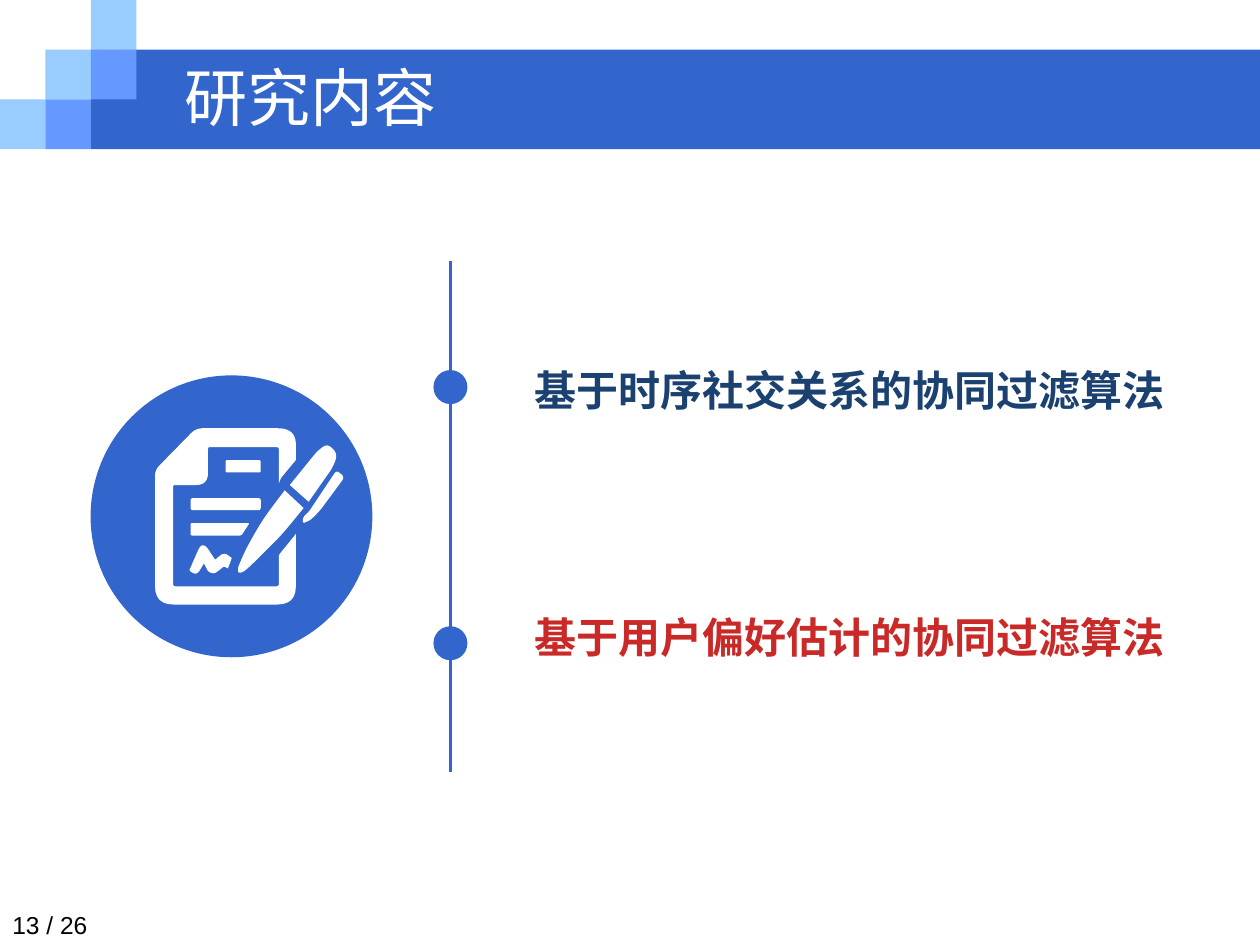
from lxml.etree import SubElement
from pptx import Presentation
from pptx.dml.color import RGBColor
from pptx.enum.shapes import MSO_CONNECTOR, MSO_SHAPE
from pptx.enum.text import MSO_ANCHOR
from pptx.oxml.ns import qn
from pptx.util import Pt

COLORS = {
    "blue": "3366CC", "sky": "99CCFF", "mid": "6699FF", "white": "FFFFFF",
    "black": "000000", "navy": "1B4171", "red": "C92927",
}
CJK = "Noto Sans CJK SC"


def color(name):
    return RGBColor.from_string(COLORS[name])


def rounded_outline(corners, steps=6):
    """Turn (x, y, radius) corners into points, bending each corner."""
    points = []
    for i, (x, y, radius) in enumerate(corners):
        if not radius:
            points.append((x, y))
            continue
        ends = []
        for near_x, near_y, _ in (corners[i - 1], corners[(i + 1) % len(corners)]):
            dx, dy = near_x - x, near_y - y
            length = (dx * dx + dy * dy) ** 0.5
            share = min(radius / length, 0.5)
            ends.append((x + dx * share, y + dy * share))
        (ax, ay), (bx, by) = ends
        for step in range(steps + 1):
            t = step / steps
            a, m, b = (1 - t) ** 2, 2 * t * (1 - t), t * t
            points.append((a * ax + m * x + b * bx, a * ay + m * y + b * by))
    return points


def bar(left, top, right, bottom, radius=1.5, slant=0):
    return [(left, top, radius), (right, top, radius),
            (right - slant, bottom, radius), (left, bottom, radius)]


class SlideBuilder:
    def __init__(self, deck):
        self.page = deck.slides.add_slide(deck.slide_layouts[6])

    def paint(self, shape, fill, line_width=0):
        shape.shadow.inherit = False
        shape.fill.solid()
        shape.fill.fore_color.rgb = color(fill)
        if line_width:
            shape.line.color.rgb = color(fill)
            shape.line.width = Pt(line_width)
        else:
            shape.line.fill.background()

    def shape(self, kind, left, top, width, height, fill, line_width=0):
        shape = self.page.shapes.add_shape(
            kind, Pt(left), Pt(top), Pt(width), Pt(height))
        self.paint(shape, fill, line_width)

    def circle(self, x, y, diameter, fill, line_width=0):
        self.shape(MSO_SHAPE.OVAL, x - diameter / 2, y - diameter / 2,
                   diameter, diameter, fill, line_width)

    def line(self, x1, y1, x2, y2, stroke, width):
        line = self.page.shapes.add_connector(
            MSO_CONNECTOR.STRAIGHT, Pt(x1), Pt(y1), Pt(x2), Pt(y2))
        line.line.color.rgb = color(stroke)
        line.line.width = Pt(width)
        SubElement(line._element.spPr, qn("a:effectLst"))

    def icon(self, parts, fill):
        group = self.page.shapes.add_group_shape()
        for corners in parts:
            points = [(Pt(x), Pt(y)) for x, y in rounded_outline(corners)]
            outline = group.shapes.build_freeform(*points[0])
            outline.add_line_segments(points[1:], close=True)
            self.paint(outline.convert_to_shape(), fill)

    def text(self, words, left, top, width, height, size, ink,
             font=CJK, bold=False, anchor=MSO_ANCHOR.TOP):
        box = self.page.shapes.add_textbox(
            Pt(left), Pt(top), Pt(width), Pt(height))
        frame = box.text_frame
        frame.word_wrap = True
        frame.vertical_anchor = anchor
        para = frame.paragraphs[0]
        para.text = words
        para.font.size = Pt(size)
        para.font.bold = bold
        para.font.color.rgb = color(ink)
        para.font.name = font
        defaults = para._p.pPr.find(qn("a:defRPr"))
        SubElement(defaults, qn("a:ea")).set("typeface", font)


PAPER = [
    (159.4, 276, 0), (159.4, 255.4, 1.5), (118.9, 255.4, 1), (118.9, 277.1, 7),
    (98.9, 277.1, 1), (98.9, 334.9, 1.5), (159.4, 334.9, 1.5), (159.4, 317, 1),
    (169.1, 305, 0), (169.1, 345.3, 10.5), (88.6, 345.3, 10.5),
    (88.6, 268.5, 3.5), (112, 244.6, 4), (169.1, 244.6, 10.5),
    (169.1, 262.8, 0.5), (160.6, 273, 1),
]
NIB = [
    (162.7, 280.1, 0), (173.5, 290.2, 0), (161, 305.5, 8), (145.4, 321.1, 8),
    (139, 326.9, 3), (136.1, 327.2, 1), (136.1, 324, 1), (140.4, 313.9, 6),
    (150, 297, 8),
]
PEN_BODY = [
    (176.4, 286.6, 0), (165.6, 277.1, 0), (181.5, 257.5, 4), (187, 253.5, 3),
    (193, 259, 4), (190.5, 266.5, 4),
]
PEN_CLIP = [
    (192.3, 268.7, 2), (197, 272.5, 2.5), (182.9, 291.6, 4), (177.5, 297, 2),
    (173, 299, 1.5), (173.2, 295.5, 1.5), (177, 291.6, 1),
]
SIGNATURE = [
    (109, 324, 2), (114.5, 311.5, 3), (117.5, 311.5, 3), (123, 319.7, 0),
    (128, 315.5, 3), (132.5, 318.7, 0.5), (130.3, 324.7, 0), (128, 323.5, 1),
    (122.5, 328, 3), (119, 326.5, 1), (116.6, 321.8, 0), (112.5, 328.5, 3),
    (108, 326, 2),
]
WRITTEN_LINES = [
    bar(128.9, 262.8, 149, 269.8, 1), bar(108.9, 284.5, 149, 291.4),
    bar(108.9, 298.8, 142.6, 305.9, 1, slant=4.6),
]


def main():
    deck = Presentation()
    deck.slide_width, deck.slide_height = Pt(720), Pt(541.44)
    slide = SlideBuilder(deck)

    tile_width, tile_height = 26, 28.4
    slide.shape(MSO_SHAPE.RECTANGLE, 2 * tile_width, tile_height,
                720 - 2 * tile_width, 2 * tile_height, "blue")
    for column, row, fill in [(0, 2, "sky"), (1, 1, "sky"), (2, 0, "sky"),
                              (2, 1, "mid"), (1, 2, "mid")]:
        slide.shape(MSO_SHAPE.RECTANGLE, column * tile_width, row * tile_height,
                    tile_width, tile_height, fill)
    slide.text("研究内容", 98.6, 36, 581.8, 38.2, 36, "white",
               anchor=MSO_ANCHOR.MIDDLE)
    slide.text("13 / 26", 0, 516.2, 167.8, 25.2, 14, "black", font="Arial")

    slide.circle(132.3, 294.9, 161, "blue")
    slide.icon([PAPER, NIB, PEN_BODY, PEN_CLIP, SIGNATURE, *WRITTEN_LINES], "white")

    axis = 257.4
    slide.line(axis, 149, axis, 441, "blue", 1.5)
    for dot_y, text_top, words, ink in [
        (221.1, 204.5, "基于时序社交关系的协同过滤算法", "navy"),
        (367.4, 345.6, "基于用户偏好估计的协同过滤算法", "red"),
    ]:
        slide.circle(axis, dot_y, 17.4, "blue", line_width=2)
        slide.text(words, 298.1, text_top, 400, 36, 24, ink,
                   bold=True, anchor=MSO_ANCHOR.BOTTOM)

    deck.save("out.pptx")


if __name__ == "__main__":
    main()
